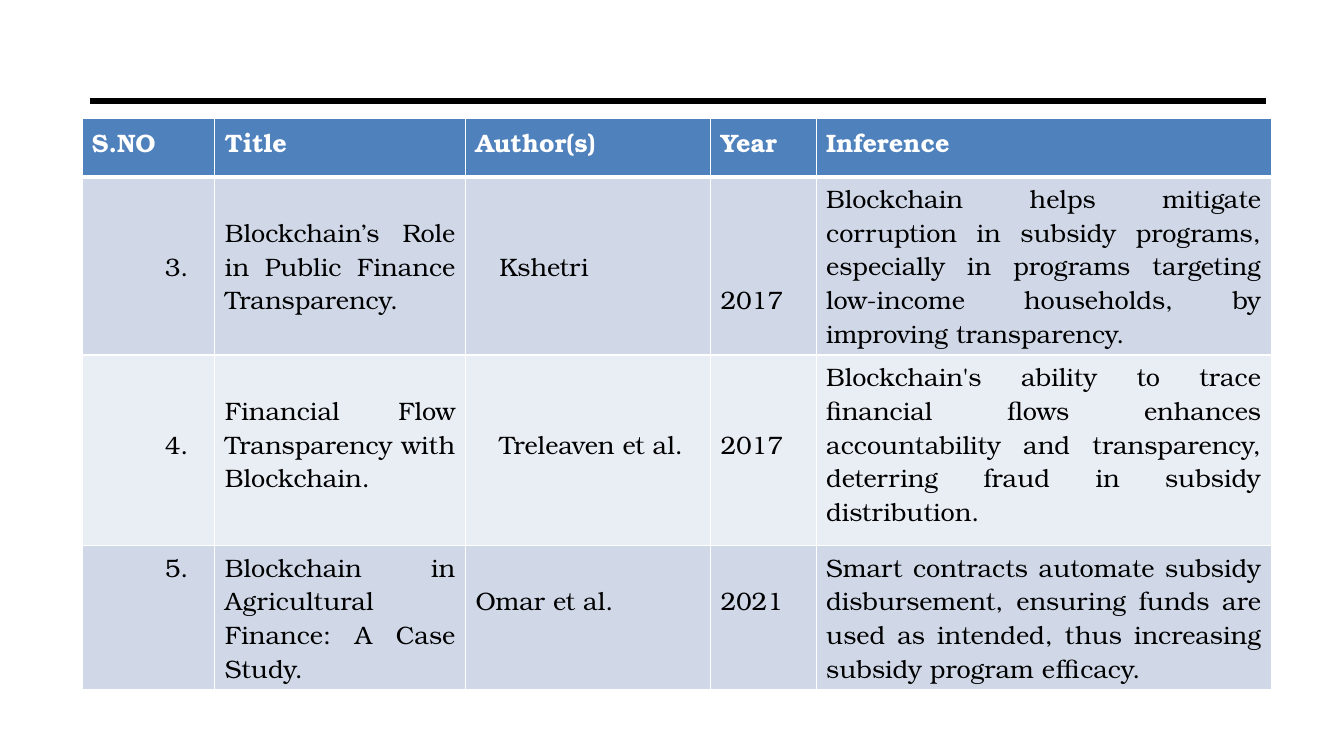
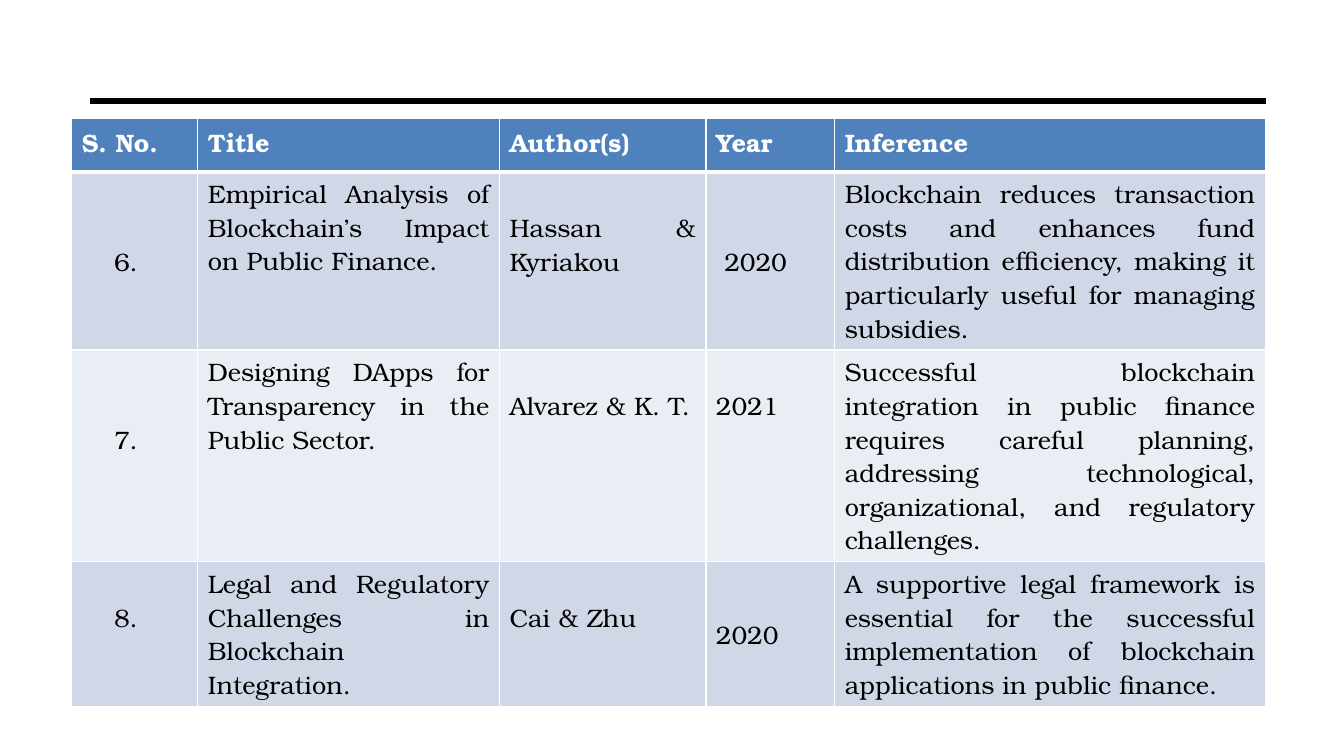
from dataclasses import dataclass

from lxml import etree
from pptx import Presentation
from pptx.dml.color import RGBColor
from pptx.enum import shapes, text
from pptx.oxml import ns
from pptx.util import Pt

FONT = "TeX Gyre Bonum"
FONT_SIZE = 18
LINE_HEIGHT = 24.1
SIDE_MARGIN = 7.2
EDGE_MARGIN = 3.6
COLORS = {
    "header": "4F81BD",
    "odd_row": "D0D8E8",
    "even_row": "E9EDF4",
    "border": "FFFFFF",
    "header_text": "FFFFFF",
    "body_text": "000000",
    "rule": "000000",
}


@dataclass(frozen=True)
class Entry:
    words: str
    lines_down: int = 0
    indent: float = 0
    middle: bool = False


@dataclass(frozen=True)
class Survey:
    left: float
    top: float
    widths: list[float]
    heights: list[float]
    headings: list[str]
    rows: list[list[Entry]]


SURVEYS = [
    Survey(
        58.5, 84.75, [95, 179, 175, 75.5, 325], [41.5, 117, 136, 92],
        ["S.NO", "Title", "Author(s)", "Year", "Inference"],
        [
            [
                Entry("3.", 2, 52),
                Entry("Blockchain’s Role in Public Finance Transparency.", 1),
                Entry("Kshetri", 2, 17),
                Entry("2017", 3),
                Entry("Blockchain helps mitigate corruption in subsidy programs, especially in "
                      "programs targeting low-income households, by improving transparency."),
            ],
            [
                Entry("4.", 2, 52),
                Entry("Financial Flow Transparency with Blockchain.", 1),
                Entry("Treleaven et al.", 2, 17),
                Entry("2017", 2),
                Entry("Blockchain's ability to trace financial flows enhances accountability "
                      "and transparency, deterring fraud in subsidy distribution."),
            ],
            [
                Entry("5.", 0, 52),
                Entry("Blockchain in Agricultural Finance: A Case Study."),
                Entry("Omar et al.", 1),
                Entry("2021", 1),
                Entry("Smart contracts automate subsidy disbursement, ensuring funds are used "
                      "as intended, thus increasing subsidy program efficacy."),
            ],
        ],
    ),
    Survey(
        51.25, 84.25, [90, 215.5, 147.5, 92, 307.5], [38.5, 91.5, 91.5, 91.5],
        ["S. No.", "Title", "Author(s)", "Year", "Inference"],
        [
            [
                Entry("6.", 2, 23),
                Entry("Empirical Analysis of Blockchain’s Impact on Public Finance."),
                Entry("Hassan & Kyriakou", 1),
                Entry("2020", 2, 6),
                Entry("Blockchain reduces transaction costs and enhances fund distribution "
                      "efficiency, making it particularly useful for managing subsidies."),
            ],
            [
                Entry("7.", 2, 23),
                Entry("Designing DApps for Transparency in the Public Sector."),
                Entry("Alvarez & K. T.", 1),
                Entry("2021", 1),
                Entry("Successful blockchain integration in public finance requires careful "
                      "planning, addressing technological, organizational, and regulatory "
                      "challenges."),
            ],
            [
                Entry("8.", 1, 23),
                Entry("Legal and Regulatory Challenges in Blockchain Integration."),
                Entry("Cai & Zhu", 1),
                Entry("2020", middle=True),
                Entry("A supportive legal framework is essential for the successful "
                      "implementation of blockchain applications in public finance."),
            ],
        ],
    ),
]


def add_rule(page) -> None:
    rule = page.shapes.add_connector(
        shapes.MSO_CONNECTOR.STRAIGHT, Pt(64), Pt(72), Pt(904), Pt(72))
    rule.line.color.rgb = RGBColor.from_string(COLORS["rule"])
    rule.line.width = Pt(4.5)
    etree.SubElement(rule.element.spPr, ns.qn("a:effectLst"))
    page.slide_layout.shapes.element.append(rule.element)


def set_borders(cell, *, top: float, bottom: float) -> None:
    properties = cell._tc.get_or_add_tcPr()
    for side, width in (("L", 1), ("R", 1), ("T", top), ("B", bottom)):
        border = etree.SubElement(properties, ns.qn(f"a:ln{side}"), w=str(Pt(width)))
        fill = etree.SubElement(border, ns.qn("a:solidFill"))
        etree.SubElement(fill, ns.qn("a:srgbClr"), val=COLORS["border"])


def write_text(frame, words: str, *, color: str, bold: bool = False) -> None:
    para = frame.paragraphs[0]
    para.alignment = text.PP_ALIGN.JUSTIFY
    span = para.add_run()
    span.text = words
    span.font.name = FONT
    span.font.size = Pt(FONT_SIZE)
    span.font.bold = bold
    span.font.color.rgb = RGBColor.from_string(COLORS[color])


def fill_cell(cell, entry: Entry, row: int) -> None:
    header = row == 0
    set_borders(cell, top=3 if row == 1 else 1, bottom=3 if header else 1)
    fill = "header" if header else "odd_row" if row % 2 else "even_row"
    cell.fill.solid()
    cell.fill.fore_color.rgb = RGBColor.from_string(COLORS[fill])
    cell.margin_left = Pt(SIDE_MARGIN + entry.indent)
    cell.margin_right = Pt(SIDE_MARGIN)
    cell.margin_top = Pt(EDGE_MARGIN + entry.lines_down * LINE_HEIGHT)
    cell.margin_bottom = Pt(EDGE_MARGIN)
    cell.vertical_anchor = text.MSO_ANCHOR.MIDDLE if entry.middle else text.MSO_ANCHOR.TOP
    write_text(cell.text_frame, entry.words,
               color="header_text" if header else "body_text", bold=header)


def add_survey(page, survey: Survey) -> None:
    rows = [[Entry(heading) for heading in survey.headings], *survey.rows]
    table = page.shapes.add_table(
        len(rows), len(survey.widths), Pt(survey.left), Pt(survey.top),
        Pt(sum(survey.widths)), Pt(sum(survey.heights))).table
    for column, width in zip(table.columns, survey.widths):
        column.width = Pt(width)
    for line, height in zip(table.rows, survey.heights):
        line.height = Pt(height)
    for row, entries in enumerate(rows):
        for column, entry in enumerate(entries):
            fill_cell(table.cell(row, column), entry, row)


def main() -> None:
    deck = Presentation()
    deck.slide_width, deck.slide_height = Pt(960), Pt(540)
    layout = deck.slide_layouts[6]
    pages = [deck.slides.add_slide(layout) for _ in SURVEYS]
    add_rule(pages[0])
    for page, survey in zip(pages, SURVEYS):
        add_survey(page, survey)
    deck.save("out.pptx")


if __name__ == "__main__":
    main()
